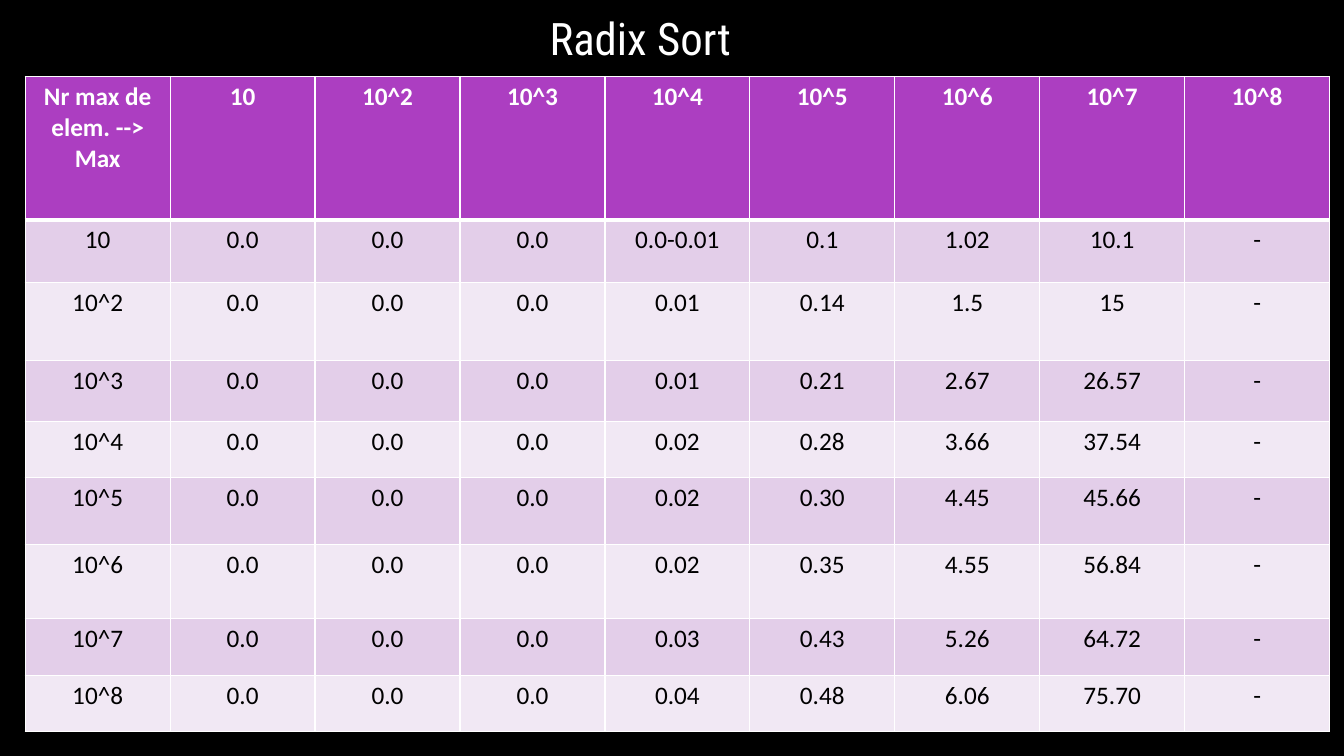
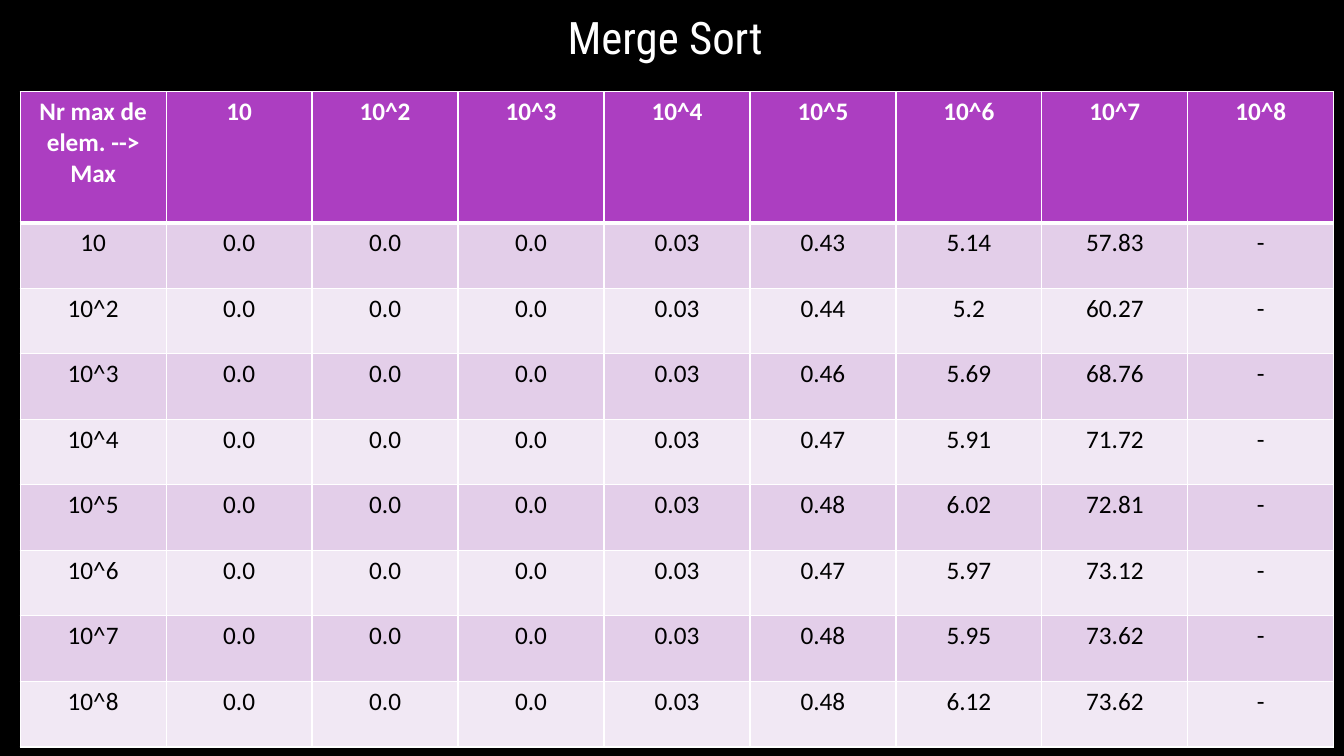
from dataclasses import dataclass

from lxml.etree import SubElement
from pptx import Presentation
from pptx.dml.color import RGBColor
from pptx.enum.text import MSO_ANCHOR as Anchor, MSO_AUTO_SIZE as AutoSize, PP_ALIGN as Align
from pptx.oxml.ns import qn
from pptx.presentation import Presentation as Deck
from pptx.slide import Slide
from pptx.table import _Cell as Cell
from pptx.text.text import TextFrame
from pptx.util import Inches, Pt

BLACK = RGBColor(0x00, 0x00, 0x00)
WHITE = RGBColor(0xFF, 0xFF, 0xFF)
PURPLE = RGBColor(0xAC, 0x3E, 0xC1)
LILAC = RGBColor(0xE3, 0xCE, 0xE9)
PALE_LILAC = RGBColor(0xF1, 0xE8, 0xF4)

TITLE_FONT = "Roboto Condensed"
TABLE_FONT = "Calibri"
TITLE_ONLY = 5
THIN, THICK = 1, 3
SIZES = ("10", *(f"10^{power}" for power in range(2, 9)))


@dataclass(frozen=True)
class Benchmark:
    title: str
    title_left: float
    title_top: float
    corner: str
    left: float
    top: float
    width: float
    row_heights: tuple[float, ...]
    timings: tuple[tuple[str, ...], ...]

    def rows(self) -> list[tuple[str, ...]]:
        body = [
            (size, *("0.0",) * 3, *measured, "-")
            for size, measured in zip(SIZES, self.timings)
        ]
        return [(self.corner, *SIZES), *body]


BENCHMARKS = (
    Benchmark(
        title="Radix Sort",
        title_left=5.35,
        title_top=0.06,
        corner="Nr max de elem. -->\nMax",
        left=0.25,
        top=0.76,
        width=12.94,
        row_heights=(1.42, 0.62, 0.78, 0.6, 0.56, 0.66, 0.74, 0.56, 0.56),
        timings=(
            ("0.0-0.01", "0.1", "1.02", "10.1"),
            ("0.01", "0.14", "1.5", "15"),
            ("0.01", "0.21", "2.67", "26.57"),
            ("0.02", "0.28", "3.66", "37.54"),
            ("0.02", "0.30", "4.45", "45.66"),
            ("0.02", "0.35", "4.55", "56.84"),
            ("0.03", "0.43", "5.26", "64.72"),
            ("0.04", "0.48", "6.06", "75.70"),
        ),
    ),
    Benchmark(
        title="Merge Sort",
        title_left=5.53,
        title_top=0.05,
        corner="Nr max de elem. -->\nMax",
        left=0.2,
        top=0.91,
        width=13.03,
        row_heights=(1.3, *(0.65,) * 8),
        timings=(
            ("0.03", "0.43", "5.14", "57.83"),
            ("0.03", "0.44", "5.2", "60.27"),
            ("0.03", "0.46", "5.69", "68.76"),
            ("0.03", "0.47", "5.91", "71.72"),
            ("0.03", "0.48", "6.02", "72.81"),
            ("0.03", "0.47", "5.97", "73.12"),
            ("0.03", "0.48", "5.95", "73.62"),
            ("0.03", "0.48", "6.12", "73.62"),
        ),
    ),
)


def write_text(
    frame: TextFrame,
    text: str,
    *,
    font: str,
    size: float,
    color: RGBColor,
    bold: bool = False,
    align: Align = Align.LEFT,
) -> None:
    frame.text = text
    for para in frame.paragraphs:
        para.alignment = align
        for span in para.runs:
            span.font.name = font
            span.font.size = Pt(size)
            span.font.bold = bold
            span.font.color.rgb = color


def set_borders(cell: Cell, *, top: float, bottom: float) -> None:
    properties = cell._tc.get_or_add_tcPr()
    sides = (("lnL", THIN), ("lnR", THIN), ("lnT", top), ("lnB", bottom))
    for position, (side, width) in enumerate(sides):
        line = SubElement(properties, qn(f"a:{side}"), w=str(Pt(width)))
        fill = SubElement(line, qn("a:solidFill"))
        SubElement(fill, qn("a:srgbClr"), val=str(WHITE))
        properties.insert(position, line)


def add_title(page: Slide, benchmark: Benchmark) -> None:
    box = page.shapes.title
    box.left, box.top = Inches(benchmark.title_left), Inches(benchmark.title_top)
    box.width, box.height = Inches(3), Inches(0.64)
    frame = box.text_frame
    frame.word_wrap = True
    frame.auto_size = AutoSize.SHAPE_TO_FIT_TEXT
    frame.vertical_anchor = Anchor.TOP
    write_text(frame, benchmark.title, font=TITLE_FONT, size=32, color=WHITE)


def add_timing_table(page: Slide, benchmark: Benchmark) -> None:
    rows = benchmark.rows()
    column_count = len(rows[0])
    table = page.shapes.add_table(
        len(rows),
        column_count,
        Inches(benchmark.left),
        Inches(benchmark.top),
        Inches(benchmark.width),
        Inches(sum(benchmark.row_heights)),
    ).table
    table.horz_banding = False
    for column in table.columns:
        column.width = Inches(benchmark.width / column_count)
    for index, (values, height) in enumerate(zip(rows, benchmark.row_heights)):
        table.rows[index].height = Inches(height)
        header = index == 0
        band = PURPLE if header else LILAC if index % 2 else PALE_LILAC
        for column_index, value in enumerate(values):
            cell = table.cell(index, column_index)
            cell.fill.solid()
            cell.fill.fore_color.rgb = band
            set_borders(
                cell,
                top=THICK if index == 1 else THIN,
                bottom=THICK if header else THIN,
            )
            write_text(
                cell.text_frame,
                value,
                font=TABLE_FONT,
                size=18,
                color=WHITE if header else BLACK,
                bold=header,
                align=Align.CENTER,
            )


def add_benchmark_page(deck: Deck, benchmark: Benchmark) -> None:
    page = deck.slides.add_slide(deck.slide_layouts[TITLE_ONLY])
    add_title(page, benchmark)
    add_timing_table(page, benchmark)


def main() -> None:
    deck = Presentation()
    deck.slide_width, deck.slide_height = Inches(13.33), Inches(7.5)
    background = deck.slide_master.background.fill
    background.solid()
    background.fore_color.rgb = BLACK
    for benchmark in BENCHMARKS:
        add_benchmark_page(deck, benchmark)
    deck.save("out.pptx")


if __name__ == "__main__":
    main()
